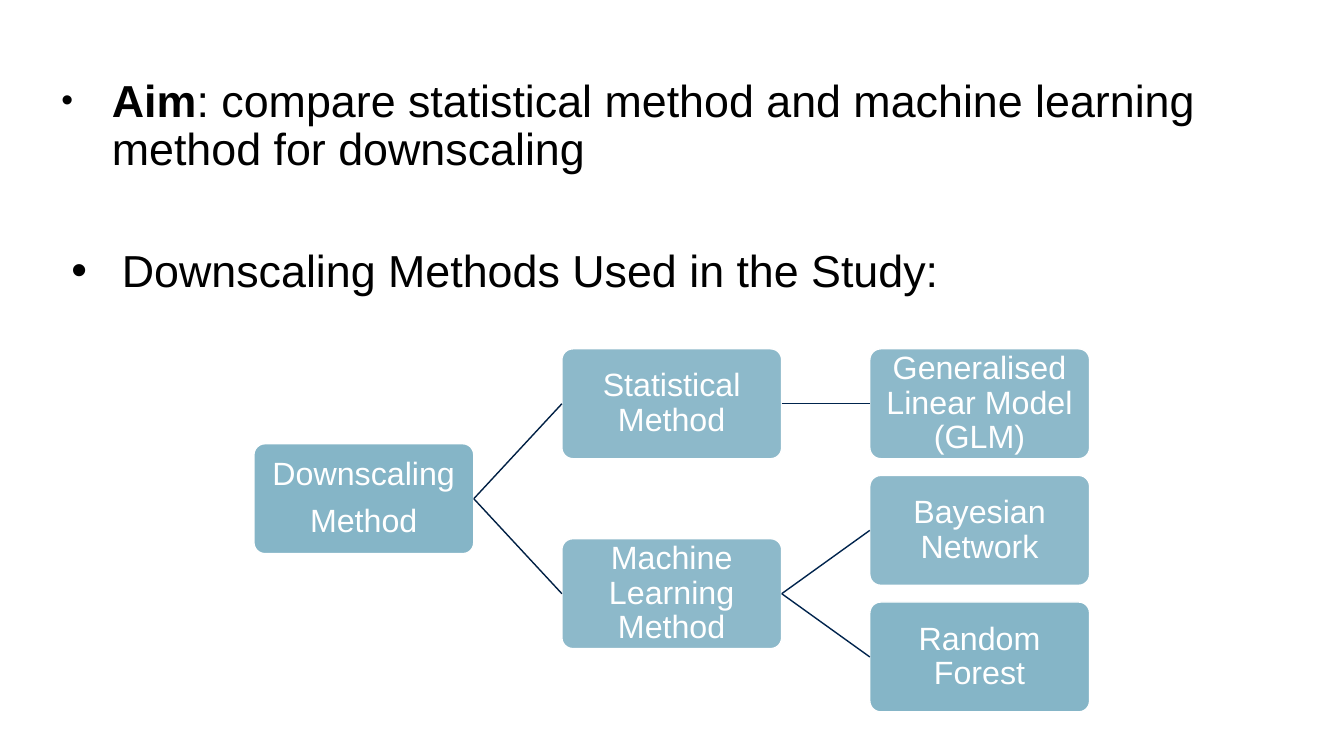
from lxml import etree
from pptx import Presentation
from pptx import util as u
from pptx.dml.color import RGBColor
from pptx.enum import shapes, text
from pptx.oxml.ns import qn

# Runs are (words, bold); frame is left, top, width, height in cm
BULLETS = [
    dict(runs=[("Aim", True),
               (": compare statistical method and machine learning method for downscaling", False)],
         frame=(1.55, 1.98, 29.01, 5.64), inset=0, bullet_size=75,
         spacing=dict(line_spacing=0.9, space_before=u.Pt(10))),
    dict(runs=[("Downscaling Methods Used in the Study:", False)],
         frame=(1.55, 5.99, 23.34, 1.63), inset=0.25, bullet_size=100, spacing={}),
]

# Each node is (lines, fill name, children)
METHODS = (["Downscaling", "Method"], "strong", [
    (["Statistical Method"], "soft", [
        (["Generalised Linear Model (GLM)"], "soft", []),
    ]),
    (["Machine Learning Method"], "soft", [
        (["Bayesian Network"], "soft", []),
        (["Random Forest"], "strong", []),
    ]),
])

THEME = dict(
    font="Arial", body_size=32, node_size=23,
    ink="000000", white="FFFFFF", strong="85B5C7", soft="8DB9CA",
    links=["002044", "00244D"],
)

TREE_LEFT, TREE_TOP = 6.4, 8.79
NODE_WIDTH, NODE_HEIGHT = 5.54, 2.77
LEVEL_STEP, LEAF_STEP = 7.76, 3.19


def color(name):
    return RGBColor.from_string(THEME.get(name, name))


def set_all(target, values):
    for name, value in values.items():
        setattr(target, name, value)


def set_frame(frame, inset, anchor):
    sides = ("margin_left", "margin_right", "margin_top", "margin_bottom")
    set_all(frame, dict(zip(sides, inset)))
    set_all(frame, dict(word_wrap=True, vertical_anchor=anchor))


def add_span(para, words, size, ink, bold=False):
    span = para.add_run()
    span.text = words
    set_all(span.font, dict(name=THEME["font"], size=u.Pt(size), bold=bold))
    span.font.color.rgb = color(ink)


def add_bullet(page, runs, frame, inset, bullet_size, spacing):
    box = page.shapes.add_textbox(*map(u.Cm, frame))
    across, down = u.Cm(inset), u.Cm(inset / 2)
    set_frame(box.text_frame, (across, across, down, down), text.MSO_ANCHOR.TOP)
    para = box.text_frame.paragraphs[0]
    set_all(para, spacing)
    for words, bold in runs:
        add_span(para, words, THEME["body_size"], "ink", bold)
    marks = para._p.get_or_add_pPr()
    marks.set("marL", str(u.Cm(1.27)))
    marks.set("indent", str(-u.Cm(1.27)))
    for tag, key, value in (("a:buSzPct", "val", str(bullet_size * 1000)),
                            ("a:buFont", "typeface", THEME["font"]),
                            ("a:buChar", "char", "•")):
        etree.SubElement(marks, qn(tag)).set(key, value)


def add_node(page, lines, fill, level, top):
    node = page.shapes.add_shape(
        shapes.MSO_SHAPE.ROUNDED_RECTANGLE, u.Cm(TREE_LEFT + level * LEVEL_STEP),
        u.Cm(top), u.Cm(NODE_WIDTH), u.Cm(NODE_HEIGHT))
    node.adjustments[0] = 0.1
    node.shadow.inherit = False
    node.fill.solid()
    node.fill.fore_color.rgb = color(fill)
    node.line.color.rgb = color("white")
    node.line.width = u.Pt(1)
    set_frame(node.text_frame, [u.Cm(0.13)] * 4, text.MSO_ANCHOR.MIDDLE)
    for index, words in enumerate(lines):
        para = node.text_frame.paragraphs[0] if index == 0 else node.text_frame.add_paragraph()
        set_all(para, dict(alignment=text.PP_ALIGN.CENTER, line_spacing=0.9))
        if index < len(lines) - 1:
            para.space_after = u.Pt(9)
        add_span(para, words, THEME["node_size"], "white")
    return node


def add_link(page, parent, child, ink):
    link = page.shapes.add_connector(shapes.MSO_CONNECTOR.STRAIGHT, 0, 0, 0, 0)
    link.begin_connect(parent, 3)
    link.end_connect(child, 1)
    link.line.color.rgb = color(ink)
    link.line.width = u.Pt(1)
    etree.SubElement(link._element.spPr, qn("a:effectLst"))


def add_tree(page, tree, leaf_tops, level=0):
    """Draw a node midway between its first and last child; return it and its top."""
    lines, fill, children = tree
    branches = [add_tree(page, child, leaf_tops, level + 1) for child in children]
    top = (branches[0][1] + branches[-1][1]) / 2 if branches else next(leaf_tops)
    node = add_node(page, lines, fill, level, top)
    for child, _ in branches:
        add_link(page, node, child, THEME["links"][level])
    return node, top


def main():
    deck = Presentation()
    set_all(deck, dict(slide_width=u.Cm(33.87), slide_height=u.Cm(19.05)))
    page = deck.slides.add_slide(deck.slide_layouts[6])
    for bullet in BULLETS:
        add_bullet(page, **bullet)
    add_tree(page, METHODS, (TREE_TOP + row * LEAF_STEP for row in range(3)))
    deck.save("out.pptx")


if __name__ == "__main__":
    main()
